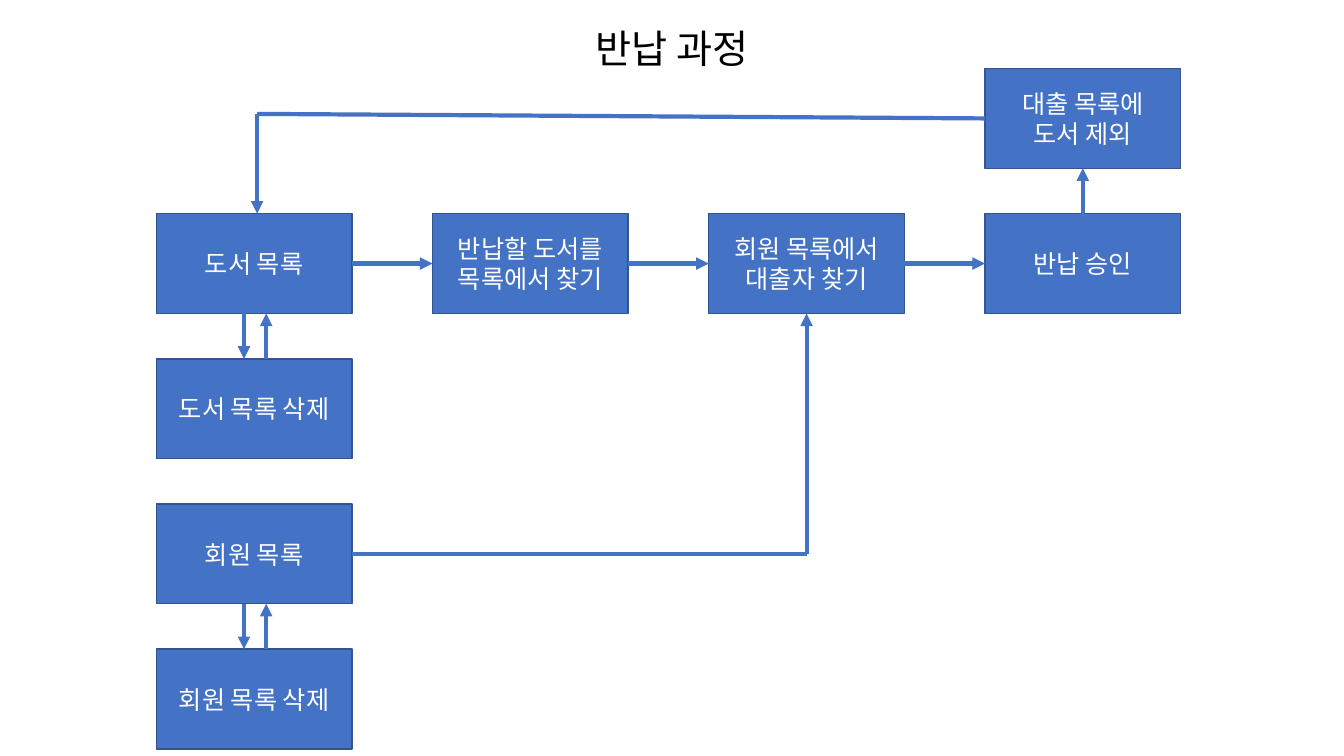
from lxml import etree
from pptx import Presentation
from pptx import util as u
from pptx.dml.color import RGBColor
from pptx.enum import shapes, text
from pptx.oxml.ns import qn

TITLE = "반납 과정"
FONT = "Noto Sans CJK KR"
BLUE, EDGE, WHITE, BLACK = "4472C4", "325491", "FFFFFF", "000000"

STEPS = {
    "exclude loan": (3, 0, "대출 목록에\n도서 제외"),
    "books": (0, 1, "도서 목록"),
    "find book": (1, 1, "반납할 도서를\n목록에서 찾기"),
    "find borrower": (2, 1, "회원 목록에서\n대출자 찾기"),
    "approve": (3, 1, "반납 승인"),
    "delete book": (0, 2, "도서 목록 삭제"),
    "members": (0, 3, "회원 목록"),
    "delete member": (0, 4, "회원 목록 삭제"),
}
TOP, LEFT, BOTTOM, RIGHT = range(4)
FLOW = [
    ("books", RIGHT, "find book", LEFT),
    ("find book", RIGHT, "find borrower", LEFT),
    ("find borrower", RIGHT, "approve", LEFT),
    ("approve", TOP, "exclude loan", BOTTOM),
]
EXCHANGES = [("books", "delete book"), ("members", "delete member")]

GRID_LEFT, GRID_TOP = 1.55, 0.68
COLUMN_STEP, ROW_STEP = 2.74, 1.44
BOX_WIDTH, BOX_HEIGHT = 1.94, 0.99
DOWN_OFFSET, UP_OFFSET = -0.10, 0.12
RETURN_X, RETURN_Y = 2.55, 1.13


def color(value):
    return RGBColor.from_string(value)


def write(shape, content, size, value):
    frame = shape.text_frame
    frame.text = content
    frame.word_wrap = True
    frame.vertical_anchor = text.MSO_ANCHOR.MIDDLE
    for paragraph in frame.paragraphs:
        paragraph.alignment = text.PP_ALIGN.CENTER
        for run in paragraph.runs:
            run.font.size = u.Pt(size)
            run.font.name = FONT
            run.font.color.rgb = color(value)
            latin = run.font._element.find(qn("a:latin"))
            east_asian = etree.Element(qn("a:ea"), typeface=FONT)
            latin.addnext(east_asian)


def corner(name):
    column, row, _ = STEPS[name]
    return GRID_LEFT + column * COLUMN_STEP, GRID_TOP + row * ROW_STEP


def side(name, site):
    x, y = corner(name)
    across, down = [(0.5, 0), (0, 0.5), (0.5, 1), (1, 0.5)][site]
    return x + across * BOX_WIDTH, y + down * BOX_HEIGHT


def add_box(slide, name):
    x, y = corner(name)
    box = slide.shapes.add_shape(
        shapes.MSO_SHAPE.RECTANGLE,
        u.Inches(x), u.Inches(y), u.Inches(BOX_WIDTH), u.Inches(BOX_HEIGHT))
    box.shadow.inherit = False
    box.fill.solid()
    box.fill.fore_color.rgb = color(BLUE)
    box.line.color.rgb = color(EDGE)
    box.line.width = u.Pt(1)
    write(box, STEPS[name][2], 18, WHITE)
    return box


def add_line(slide, start, end, arrow=True):
    line = slide.shapes.add_connector(
        shapes.MSO_CONNECTOR.STRAIGHT, *(u.Inches(v) for v in (*start, *end)))
    line.line.color.rgb = color(BLUE)
    line.line.width = u.Pt(3)
    if arrow:
        etree.SubElement(line.line._get_or_add_ln(), qn("a:tailEnd"), type="triangle")
    etree.SubElement(line._element.spPr, qn("a:effectLst"))
    return line


def main():
    presentation = Presentation()
    presentation.slide_width = u.Inches(13.33)
    presentation.slide_height = u.Inches(7.5)
    slide = presentation.slides.add_slide(presentation.slide_layouts[5])

    title = slide.shapes.title
    title.left, title.top = u.Inches(4.41), u.Inches(0.19)
    title.width, title.height = u.Inches(4.51), u.Inches(0.57)
    write(title, TITLE, 28, BLACK)
    title.text_frame.auto_size = text.MSO_AUTO_SIZE.NONE

    boxes = {name: add_box(slide, name) for name in STEPS}

    for source, source_site, target, target_site in FLOW:
        line = add_line(slide, side(source, source_site), side(target, target_site))
        line.begin_connect(boxes[source], source_site)
        line.end_connect(boxes[target], target_site)

    for upper, lower in EXCHANGES:
        x, upper_y = side(upper, BOTTOM)
        lower_y = side(lower, TOP)[1]
        add_line(slide, (x + DOWN_OFFSET, upper_y), (x + DOWN_OFFSET, lower_y))
        add_line(slide, (x + UP_OFFSET, lower_y), (x + UP_OFFSET, upper_y))

    member_turn = side("find borrower", BOTTOM)[0], side("members", RIGHT)[1]
    member_line = add_line(slide, side("members", RIGHT), member_turn, arrow=False)
    member_line.begin_connect(boxes["members"], RIGHT)
    member_arrow = add_line(slide, member_turn, side("find borrower", BOTTOM))
    member_arrow.end_connect(boxes["find borrower"], BOTTOM)

    return_turn = RETURN_X, RETURN_Y
    return_line = add_line(slide, return_turn, side("exclude loan", LEFT), arrow=False)
    return_line.end_connect(boxes["exclude loan"], LEFT)
    add_line(slide, return_turn, (RETURN_X, side("books", TOP)[1]))

    presentation.save("out.pptx")


if __name__ == "__main__":
    main()
